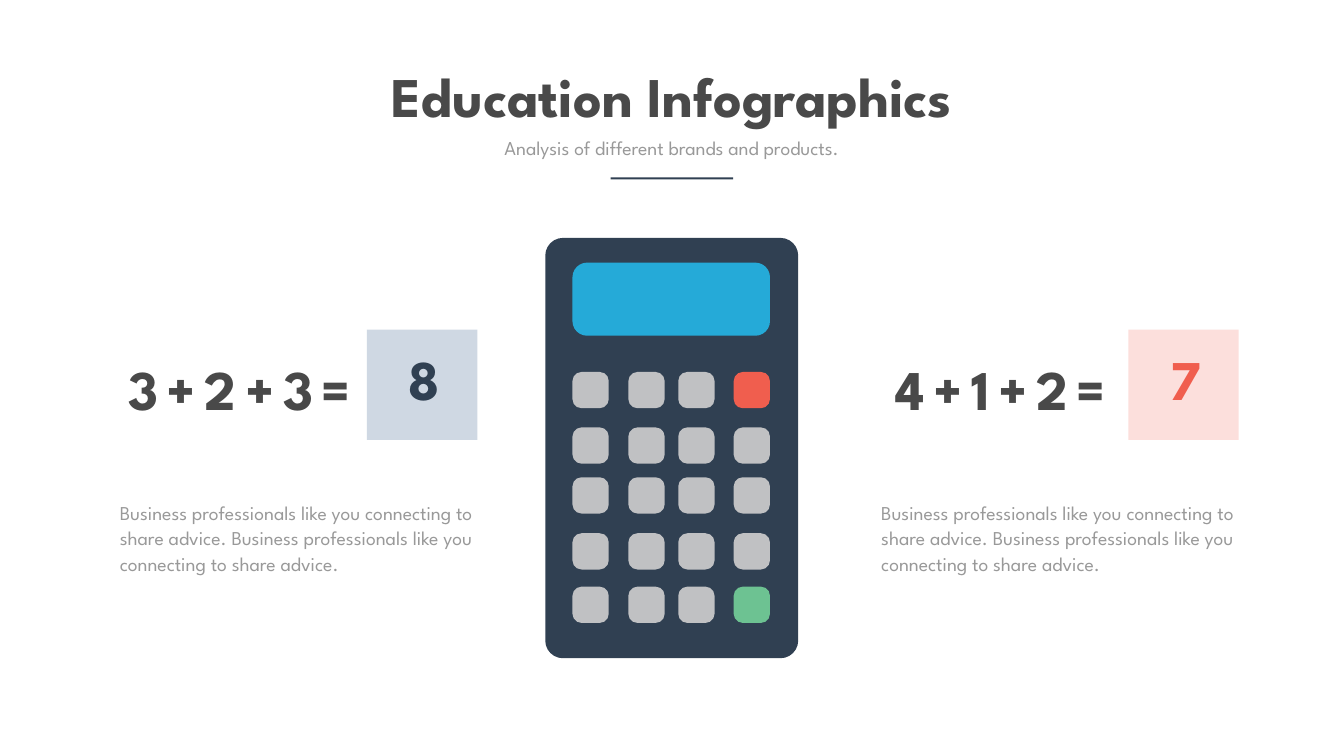
from pptx import Presentation
from pptx.dml.color import RGBColor
from pptx.enum.shapes import MSO_SHAPE
from pptx.enum.text import MSO_ANCHOR, MSO_AUTO_SIZE, PP_ALIGN
from pptx.util import Inches, Pt

RECT, ROUND = MSO_SHAPE.RECTANGLE, MSO_SHAPE.ROUNDED_RECTANGLE
LEFT, CENTER = PP_ALIGN.LEFT, PP_ALIGN.CENTER
TOP, FIXED = MSO_ANCHOR.TOP, MSO_AUTO_SIZE.NONE
FONT = "League Spartan"
COLORS = {"ink": "494949", "muted": "999999", "navy": "304052", "blue": "25AAD8",
          "key": "C0C1C3", "red": "F05E4E", "green": "6DC292",
          "pale_blue": "CFD8E3", "pale_red": "FCDFDC"}
HEADLINE = {"size": Pt(80), "bold": True}
BODY = {"size": Pt(28), "bold": False}
ADVICE = ("Business professionals like you connecting to share advice. "
          "Business professionals like you connecting to share advice.")


def color(name):
    return RGBColor.from_string(COLORS[name])


def part(box, x, y, w, h):
    """Return the part of a box given in percent of its width and height."""
    left, top, width, height = box
    return (round(left + width * x / 100), round(top + height * y / 100),
            round(width * w / 100), round(height * h / 100))


def add_block(shapes, kind, box, fill, corner=None):
    s = shapes.add_shape(kind, *box)
    s.shadow.inherit = False
    s.fill.solid()
    s.fill.fore_color.rgb = color(fill)
    s.line.fill.background()
    if corner is not None:
        s.adjustments[0] = corner


def write(s, text, style, fill, align=CENTER, wrap=False):
    tf = s.text_frame
    for name, value in {"word_wrap": wrap, "auto_size": FIXED,
                        "vertical_anchor": TOP}.items():
        setattr(tf, name, value)
    p = tf.paragraphs[0]
    p.alignment = align
    r = p.add_run()
    r.text = text
    for name, value in {"name": FONT, **style}.items():
        setattr(r.font, name, value)
    r.font.color.rgb = color(fill)
    return p


def add_heading(slide, box):
    title = slide.shapes.title
    title.left, title.top, title.width, title.height = part(box, 0, 0, 100, 60.67)
    write(title, "Education Infographics", HEADLINE, "ink")
    subtitle = slide.shapes.add_textbox(*part(box, 12.41, 61.92, 75.1, 23.85))
    write(subtitle, "Analysis of different brands and products.", BODY, "muted", wrap=True)
    add_block(slide.shapes, RECT, part(box, 40.46, 98.33, 19.09, 1.67), "navy")


def add_calculator(slide, box):
    shapes = slide.shapes.add_group_shape().shapes
    add_block(shapes, ROUND, box, "navy", 0.07)
    add_block(shapes, ROUND, part(box, 10.76, 5.88, 78.09, 17.39), "blue", 0.2)
    columns = (10.76, 32.87, 52.59, 74.5)
    rows = (31.89, 45.08, 56.95, 70.26, 82.97)
    special_keys = {(0, 3): "red", (4, 3): "green"}
    for i, y in enumerate(rows):
        for j, x in enumerate(columns):
            add_block(shapes, ROUND, part(box, x, y, 14.34, 8.63),
                      special_keys.get((i, j), "key"), 0.25)


def add_problem(slide, box, equation, answer, tile, accent):
    shapes = slide.shapes.add_group_shape().shapes
    add_block(shapes, RECT, part(box, 69.78, 0, 30.08, 40.33), tile)
    p = write(shapes.add_textbox(*part(box, 0, 8.29, 70.19, 26.7)),
              equation, HEADLINE, "ink")
    p.runs[0].font._element.set("spc", "1200")
    write(shapes.add_textbox(*part(box, 79.67, 4.6, 11.4, 26.7)),
          answer, HEADLINE, accent)
    p = write(slide.shapes.add_textbox(*part(box, 1.1, 60.77, 98.9, 39.23)),
              ADVICE, BODY, "muted", LEFT, wrap=True)
    p.line_spacing = Pt(36.6)


def main():
    prs = Presentation()
    prs.slide_width, prs.slide_height = Inches(26.67), Inches(15)
    page = (0, 0, prs.slide_width, prs.slide_height)
    slide = prs.slides.add_slide(prs.slide_layouts[5])
    add_heading(slide, part(page, 26.13, 7.8, 47.73, 15.93))
    add_calculator(slide, part(page, 40.57, 31.47, 18.82, 55.6))
    problems = (
        (8.25, "3+2+3=", "8", "pale_blue", "navy"),
        (64.9, "4+1+2=", "7", "pale_red", "red"),
    )
    for x, *content in problems:
        add_problem(slide, part(page, x, 43.6, 27.3, 36.2), *content)
    prs.save("out.pptx")


if __name__ == "__main__":
    main()
